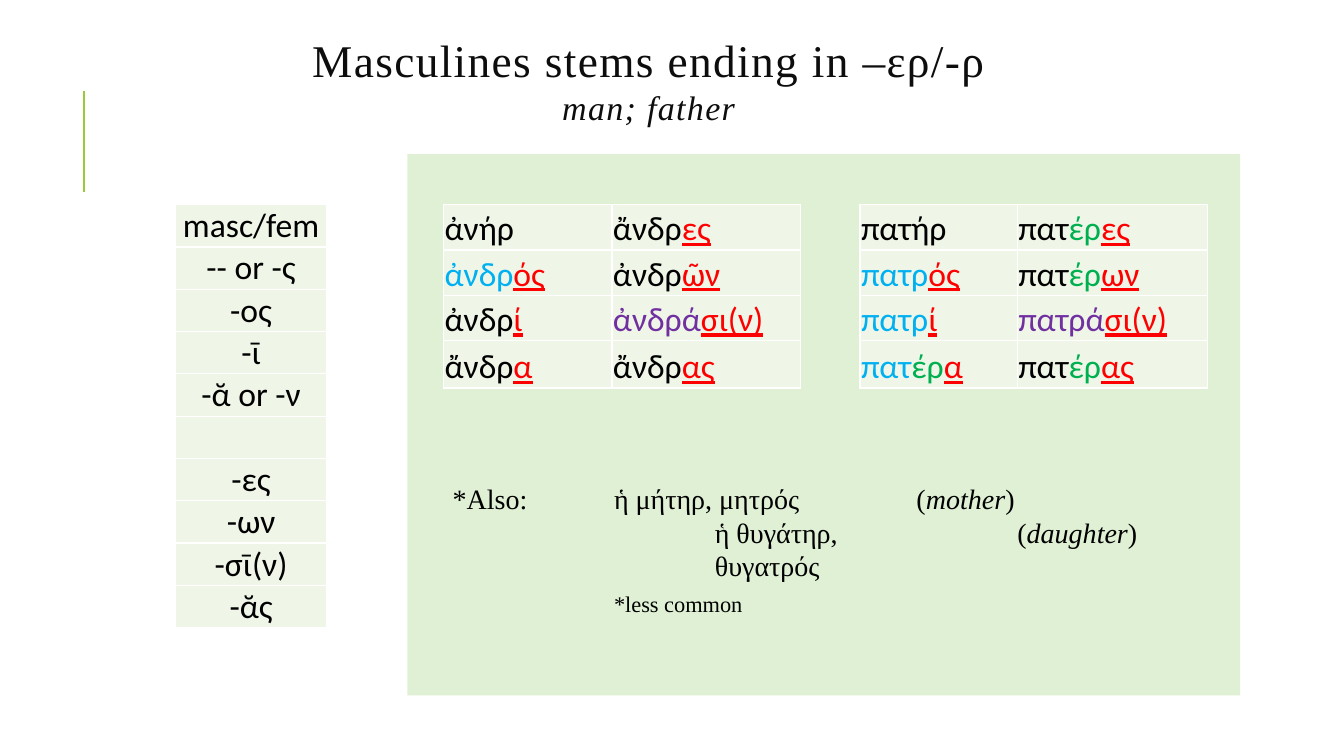
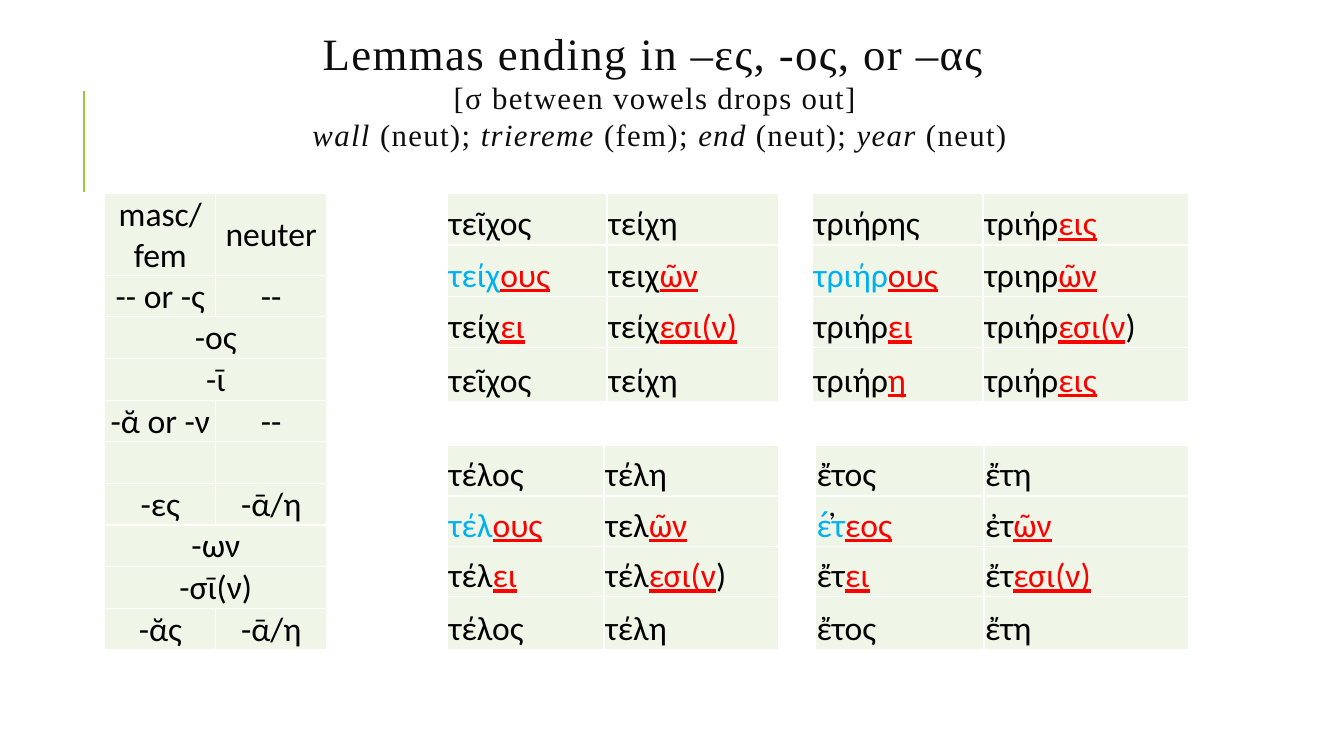
from lxml import etree
from pptx import Presentation
from pptx import util as u
from pptx.dml.color import RGBColor
from pptx.enum import shapes, text
from pptx.oxml.ns import qn

# Text markup: "|" parts the runs, and "tag=" before a run gives its style.
INKS = {"r": "FF0000", "b": "00B0F0", "g": "00B050", "v": "7030A0"}
INK, BLACK, WHITE = "0D0D0D", "000000", "FFFFFF"
LIME, PANEL, CELL = "99CB38", "DFF0D4", "EFF6E8"
SERIF, SANS = "Times New Roman", "Calibri"

SLIDES = [
    {
        "title": [("Masculines stems ending in –ερ/-ρ", 32.4),
                  ("i=man; father", 24.3)],
        "box": (1.12, 0.23, 10.63, 1.12),
        "panel": (4.04, 1.53, 8.26, 5.37),
        # text, size, left, top
        "notes": [
            ("*Also:", 20, 4.49, 4.78),
            ("ἡ μήτηρ, μητρός", 20, 6.09, 4.78),
            ("(|i=mother|)", 20, 9.09, 4.78),
            ("ἡ θυγάτηρ, θυγατρός", 20, 7.09, 5.11),
            ("(|i=daughter|)", 20, 10.09, 5.11),
            ("*less common", 16, 6.09, 5.85),
        ],
        "endings": {
            "at": (1.74, 2.03), "cols": [1.5], "rows": [0.42] * 10,
            "cells": [["masc/fem"], ["-- or -ς"], ["-ος"], ["-ῑ"],
                      ["-ᾰ or -ν"], [""], ["-ες"], ["-ων"], ["-σῑ(ν)"],
                      ["-ᾰς"]],
        },
        "nouns": [
            {"at": (4.4, 2.03), "cols": [1.67, 1.87], "high": 0.45,
             "cells": [["ἀνήρ", "ἄνδρ|r=ες"],
                       ["b=ἀνδρ|r=ός", "ἀνδρ|r=ῶν"],
                       ["ἀνδρ|r=ί", "v=ἀνδρά|r=σι(ν)"],
                       ["ἄνδρ|r=α", "ἄνδρ|r=ας"]]},
            {"at": (8.53, 2.03), "cols": [1.56, 1.89], "high": 0.45,
             "cells": [["πατήρ", "πατ|g=έρ|r=ες"],
                       ["b=πατρ|r=ός", "πατ|g=έρ|r=ων"],
                       ["b=πατρ|r=ί", "v=πατρά|r=σι(ν)"],
                       ["b=πατ|g=έρ|r=α", "πατ|g=έρ|r=ας"]]},
        ],
    },
    {
        "title": [("Lemmas ending in –ες, -ος, or –ας ", 32),
                  ("[σ between vowels drops out] ", 22),
                  ("i=wall |(neut); |i=triereme |(fem); |i=end |(neut); "
                   "|i=year |(neut)", 22)],
        "box": (0.73, 0.14, 11.62, 1.49),
        "endings": {
            "at": (1.04, 1.92), "cols": [1.1, 1.1],
            "rows": [0.8] + [3.72 / 9] * 9,
            "cells": [["masc/\nfem", "neuter"], ["-- or -ς", "--"], ["-ος"],
                      ["-ῑ"], ["-ᾰ or -ν", "--"], ["", ""],
                      ["-ες", "-ᾱ/η"], ["-ων"], ["-σῑ(ν)"],
                      ["-ᾰς", "-ᾱ/η"]],
        },
        "nouns": [
            {"at": (4.44, 1.92), "cols": [1.58, 1.7], "high": 0.51,
             "cells": [["τεῖχος", "τείχη"],
                       ["b=τείχ|r=ους", "τειχ|r=ῶν"],
                       ["τείχ|r=ει", "τείχ|r=εσι(ν)"],
                       ["τεῖχος", "τείχη"]]},
            {"at": (8.06, 1.92), "cols": [1.69, 2.04], "high": 0.51,
             "cells": [["τριήρης", "τριήρ|r=εις"],
                       ["b=τριήρ|r=ους", "τριηρ|r=ῶν"],
                       ["τριήρ|r=ει", "τριήρ|r=εσι(ν|)"],
                       ["τριήρ|r=η", "τριήρ|r=εις"]]},
            {"at": (4.44, 4.42), "cols": [1.55, 1.73], "high": 0.5,
             "cells": [["τέλος", "τέλη"],
                       ["b=τέλ|r=ους", "τελ|r=ῶν"],
                       ["τέλ|r=ει", "τέλ|r=εσι(ν|)"],
                       ["τέλος", "τέλη"]]},
            {"at": (8.09, 4.42), "cols": [1.67, 2.03], "high": 0.5,
             "cells": [["ἔτος", "ἔτη"],
                       ["b=ε|̓|b=́τ|r=εος", "ἐτ|r=ῶν"],
                       ["ἔτ|r=ει", "ἔτ|r=εσι(ν)"],
                       ["ἔτος", "ἔτη"]]},
        ],
    },
]


def rgb(code):
    return RGBColor.from_string(code)


def inches(nums):
    return [u.Inches(n) for n in nums]


def write(para, marked, face, size, ink, gap=0):
    """Fill a paragraph from marked text; gap is letter spacing in points."""
    para.font.name, para.font.size = face, u.Pt(size)
    para.font.color.rgb = rgb(ink)
    for part in marked.split("|"):
        tag, _, words = part.rpartition("=")
        for i, line in enumerate(words.split("\n")):
            if i:
                para.add_line_break()
            run = para.add_run()
            run.text = line
            if tag == "i":
                run.font.italic = True
            elif tag:
                run.font.color.rgb = rgb(INKS[tag])
                run.font.underline = True if tag == "r" else None
            if gap:
                run._r.get_or_add_rPr().set("spc", str(gap * 100))


def add_title(slide, lines, box):
    frame = slide.shapes.add_textbox(*inches(box)).text_frame
    frame.word_wrap = True
    frame.vertical_anchor = text.MSO_ANCHOR.MIDDLE
    for i, (words, size) in enumerate(lines):
        para = frame.add_paragraph() if i else frame.paragraphs[0]
        para.alignment = text.PP_ALIGN.CENTER
        write(para, words, SERIF, size, INK, gap=1)


def add_rule(slide):
    rule = slide.shapes.add_connector(
        shapes.MSO_CONNECTOR.STRAIGHT, *inches((0.83, 1.9, 0.83, 0.9)))
    rule.line.color.rgb, rule.line.width = rgb(LIME), u.Pt(1.5)
    etree.SubElement(rule._element.spPr, qn("a:effectLst"))


def add_panel(slide, box, notes):
    panel = slide.shapes.add_shape(shapes.MSO_SHAPE.RECTANGLE, *inches(box))
    panel.shadow.inherit = False
    panel.fill.solid()
    panel.fill.fore_color.rgb = rgb(PANEL)
    panel.line.fill.background()
    for words, size, left, top in notes:
        frame = slide.shapes.add_textbox(
            *inches((left, top, 2.2, 0.32))).text_frame
        frame.word_wrap = True
        frame.margin_left = frame.margin_right = 0
        frame.margin_top = frame.margin_bottom = 0
        write(frame.paragraphs[0], words, SERIF, size, BLACK)


def add_edges(cell):
    props = cell._tc.get_or_add_tcPr()
    for i, side in enumerate("LRTB"):
        edge = etree.Element(qn("a:ln" + side), w=str(u.Pt(1)))
        fill = etree.SubElement(edge, qn("a:solidFill"))
        etree.SubElement(fill, qn("a:srgbClr"), val=WHITE)
        props.insert(i, edge)


def add_grid(slide, at, cols, rows, cells, align, anchor):
    """Draw a table; a row with fewer cells than columns is merged."""
    table = slide.shapes.add_table(
        len(rows), len(cols), *inches((*at, sum(cols), sum(rows)))).table
    table.first_row = table.horz_banding = False
    for col, wide in zip(table.columns, cols):
        col.width = u.Inches(wide)
    for r, (high, words) in enumerate(zip(rows, cells)):
        table.rows[r].height = u.Inches(high)
        if len(words) < len(cols):
            table.cell(r, 0).merge(table.cell(r, len(cols) - 1))
        for c in range(len(cols)):
            cell = table.cell(r, c)
            cell.fill.solid()
            cell.fill.fore_color.rgb = rgb(CELL)
            add_edges(cell)
            cell.margin_left = cell.margin_right = u.Inches(0.01)
            cell.margin_top, cell.margin_bottom = u.Inches(0.01), 0
            cell.vertical_anchor = anchor
            if c < len(words) and words[c]:
                para = cell.text_frame.paragraphs[0]
                para.alignment = align
                write(para, words[c], SANS, 24, BLACK)


def main():
    deck = Presentation()
    deck.slide_width, deck.slide_height = inches((13.33, 7.5))
    for page in SLIDES:
        slide = deck.slides.add_slide(deck.slide_layouts[6])
        add_rule(slide)
        add_title(slide, page["title"], page["box"])
        if "panel" in page:
            add_panel(slide, page["panel"], page["notes"])
        add_grid(slide, **page["endings"], align=text.PP_ALIGN.CENTER,
                 anchor=text.MSO_ANCHOR.MIDDLE)
        for noun in page["nouns"]:
            high = noun["high"]
            add_grid(slide, noun["at"], noun["cols"],
                     [high] * 3 + [high + 0.02], noun["cells"],
                     text.PP_ALIGN.LEFT, text.MSO_ANCHOR.BOTTOM)
    deck.save("out.pptx")


if __name__ == "__main__":
    main()
